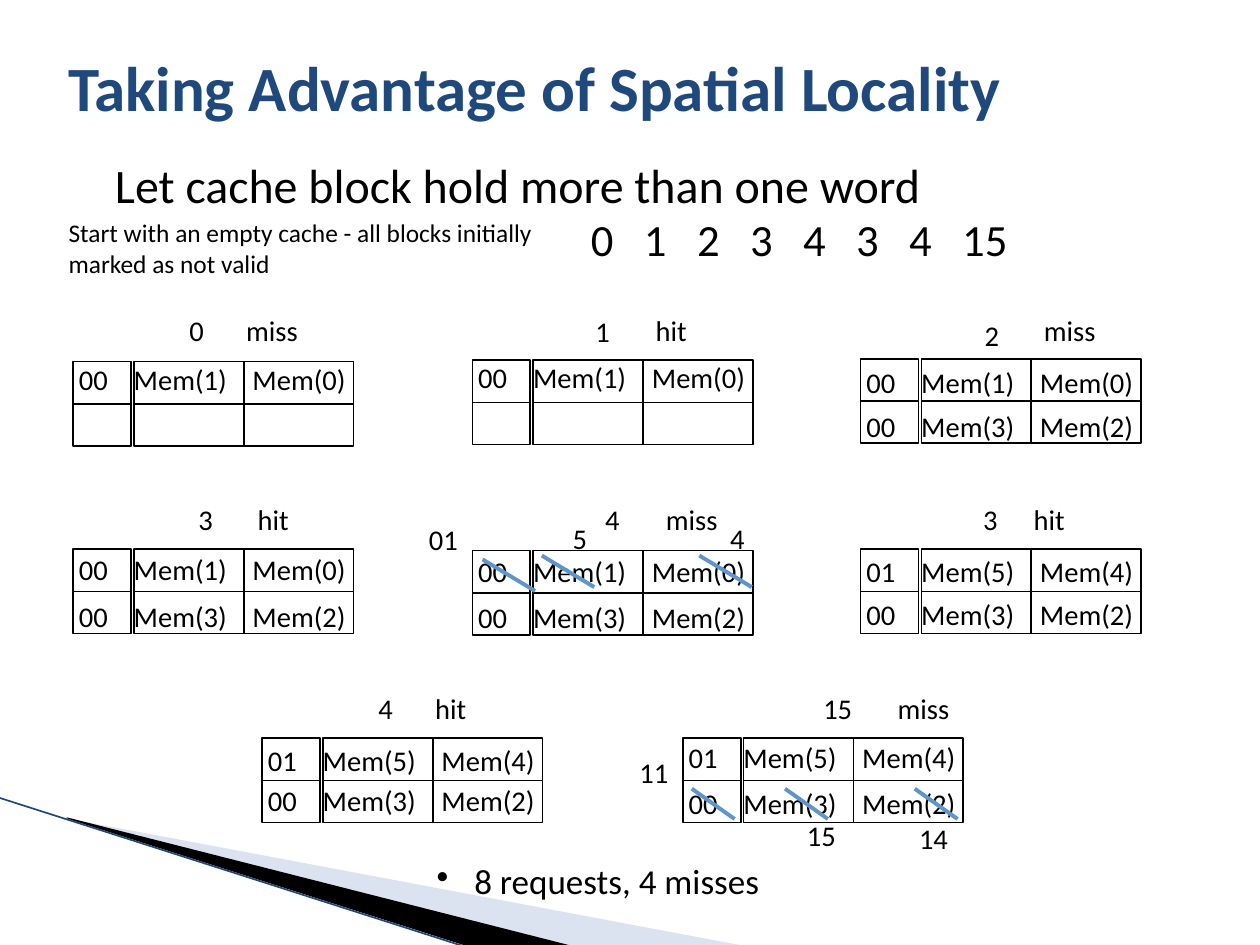
from lxml import etree
from pptx import Presentation
from pptx.dml.color import RGBColor
from pptx.enum import shapes, text
from pptx.oxml import ns
from pptx.util import Pt

BLACK = RGBColor(0x00, 0x00, 0x00)
NAVY = RGBColor(0x1F, 0x49, 0x7D)
STRIKE_BLUE = RGBColor(0x60, 0x95, 0xC9)
BAND_BLUE = RGBColor(0xA7, 0xB9, 0xDB)

TAG_WIDTH, WORD_WIDTH, BLOCK_HEIGHT = 33.1, 62.8, 48.2
WORD_START = 34.7
FIELD_OFFSETS = (0.8, 32.1, 100)
ROW_01 = ("00", "Mem(1)", "Mem(0)")
ROW_23 = ("00", "Mem(3)", "Mem(2)")
ROW_45 = ("01", "Mem(5)", "Mem(4)")


def sub(parent, tag, **attributes):
    return etree.SubElement(parent, ns.qn(tag), attributes)


def write(frame, content, size=16.3, color=BLACK, bold=False,
          bullet=None, margin=0, indent=0, spacing=None):
    paragraph = frame.paragraphs[0]
    properties = paragraph._p.get_or_add_pPr()
    properties.set("marL", str(Pt(margin)))
    properties.set("indent", str(Pt(indent)))
    if bullet:
        sub(properties, "a:buChar", char=bullet)
    if spacing:
        paragraph.line_spacing = spacing
    run = paragraph.add_run()
    run.text = content
    run.font.name = "Calibri"
    run.font.size = Pt(size)
    run.font.bold = bold
    run.font.color.rgb = color


class CacheSlide:
    def __init__(self, slide):
        self.slide = slide

    def label(self, content, x, y, width=60, height=25.2,
              anchor=text.MSO_ANCHOR.TOP, **style):
        box = self.slide.shapes.add_textbox(Pt(x), Pt(y), Pt(width), Pt(height))
        frame = box.text_frame
        frame.word_wrap = True
        frame.vertical_anchor = anchor
        frame.margin_left = frame.margin_right = Pt(2.5)
        frame.margin_top = frame.margin_bottom = Pt(2.5)
        write(frame, content, **style)

    def line(self, x1, y1, x2, y2, color=BLACK, weight=1):
        line = self.slide.shapes.add_connector(
            shapes.MSO_CONNECTOR.STRAIGHT, Pt(x1), Pt(y1), Pt(x2), Pt(y2))
        line.line.color.rgb = color
        line.line.width = Pt(weight)
        sub(line._element.spPr, "a:effectLst")
        return line

    def cell(self, x, y, width):
        cell = self.slide.shapes.add_shape(
            shapes.MSO_SHAPE.RECTANGLE, Pt(x), Pt(y), Pt(width), Pt(BLOCK_HEIGHT))
        cell.shadow.inherit = False
        cell.fill.background()
        cell.line.color.rgb = BLACK
        cell.line.width = Pt(1)
        middle = y + BLOCK_HEIGHT / 2
        divider = self.line(x, middle, x + width, middle)
        divider.begin_connect(cell, 1)
        divider.end_connect(cell, 3)

    def cache(self, x, y, rows):
        self.cell(x, y, TAG_WIDTH)
        for word in range(2):
            self.cell(x + WORD_START + word * WORD_WIDTH, y, WORD_WIDTH)
        for row_y, row in rows:
            for offset, field in zip(FIELD_OFFSETS, row):
                self.label(field, x + offset, row_y, 9.3 * len(field) + 8)

    def band(self, points, color, opacity=None):
        builder = self.slide.shapes.build_freeform(*points[0], scale=Pt(1))
        builder.add_line_segments(points[1:], close=True)
        band = builder.convert_to_shape()
        band.shadow.inherit = False
        band.fill.solid()
        band.fill.fore_color.rgb = color
        band.line.fill.background()
        if opacity:
            fill = band._element.spPr.find(ns.qn("a:solidFill"))
            sub(fill[0], "a:alpha", val=str(opacity * 1000))


def main():
    deck = Presentation()
    deck.slide_width, deck.slide_height = Pt(720), Pt(540)
    page = CacheSlide(deck.slides.add_slide(deck.slide_layouts[6]))

    # Corner decoration
    page.band([(39.6, 468.4), (428.4, 540.7), (328.3, 540.7)], BAND_BLUE, 40)
    page.band([(38.2, 467.3), (329, 540.7), (267.8, 541.4), (38.9, 468)], BLACK)
    page.line(-0.7, 455.8, 267.1, 541.4, NAVY, 0.95)

    # Heading, statement and request sequence
    page.label("Taking Advantage of Spatial Locality", 36.4, 4.3, 648, 90,
               anchor=text.MSO_ANCHOR.MIDDLE, size=36, color=NAVY, bold=True)
    page.label("Let cache block hold more than one word", 54, 92.5, 617.8, 32,
               size=27.4, margin=9.2, spacing=0.8)
    for step, address in enumerate("0 1 2 3 4 3 4 15".split()):
        page.label(address, 335.2 + 30.3 * step, 118.8, 13 * len(address) + 8, 36,
                   size=25.5)
    page.label("Start with an empty cache - all blocks initially marked as not valid",
               36.7, 121.7, 270.7, 41, size=14.5)

    # Requests: (address, x, y), (outcome, x), cache x and y, rows with their tops
    requests = [
        (("0", 105.8, 176.4), ("miss", 138.2), 41.8, 206.6, [(204.5, ROW_01)]),
        (("1", 337.7, 177.1), ("hit", 372.2), 270, 205.9, [(203, ROW_01)]),
        (("2", 560.2, 179.3), ("miss", 594), 491.8, 205.2,
         [(205.9, ROW_01), (231.1, ROW_23)]),
        (("3", 110.9, 284.4), ("hit", 144.7), 41.8, 313.9,
         [(313.2, ROW_01), (339.8, ROW_23)]),
        (("4", 343.4, 284.4), ("miss", 378), 270, 314.6,
         [(313.9, ROW_01), (340.6, ROW_23)]),
        (("3", 559.4, 284.4), ("hit", 588.2), 491.8, 313.9,
         [(313.9, ROW_45), (338.4, ROW_23)]),
        (("4", 213.8, 392.4), ("hit", 246.2), 149.8, 421.9,
         [(421.9, ROW_45), (445, ROW_23)]),
        (("15", 468, 392.4), ("miss", 510.5), 390.2, 421.9,
         [(420.5, ROW_45), (446.4, ROW_23)]),
    ]
    for (address, x, y), (outcome, outcome_x), cache_x, cache_y, rows in requests:
        page.cache(cache_x, cache_y, rows)
        page.label(address, x, y, 9.3 * len(address) + 8)
        page.label(outcome, outcome_x, 176.4 if y < 200 else y, 45)

    # Replaced entries: strikes and new values
    strikes = [(275.8, 319.7, 30, 18), (309.6, 317.5, 30, 18), (399.6, 317.5, 30, 18),
               (395.3, 450.7, 24.5, 17.3), (448.6, 450.7, 24.5, 17.3),
               (522.7, 450.7, 24.5, 17.3)]
    for x, y, width, height in strikes:
        page.line(x, y, x + width, y + height, STRIKE_BLUE, 2.25)
    replacements = [("01", 242.6, 295.9), ("5", 324.7, 295.2), ("4", 414.7, 295.2),
                    ("11", 362.9, 429.1), ("15", 458.6, 465.1), ("14", 522.7, 466.6)]
    for value, x, y in replacements:
        page.label(value, x, y, 9.3 * len(value) + 8)

    # Summary
    page.label("8 requests, 4 misses", 211.7, 488.9, 278.6, 28, size=20,
               bullet="•", margin=56.9, indent=-21.6)

    deck.save("out.pptx")


if __name__ == "__main__":
    main()
